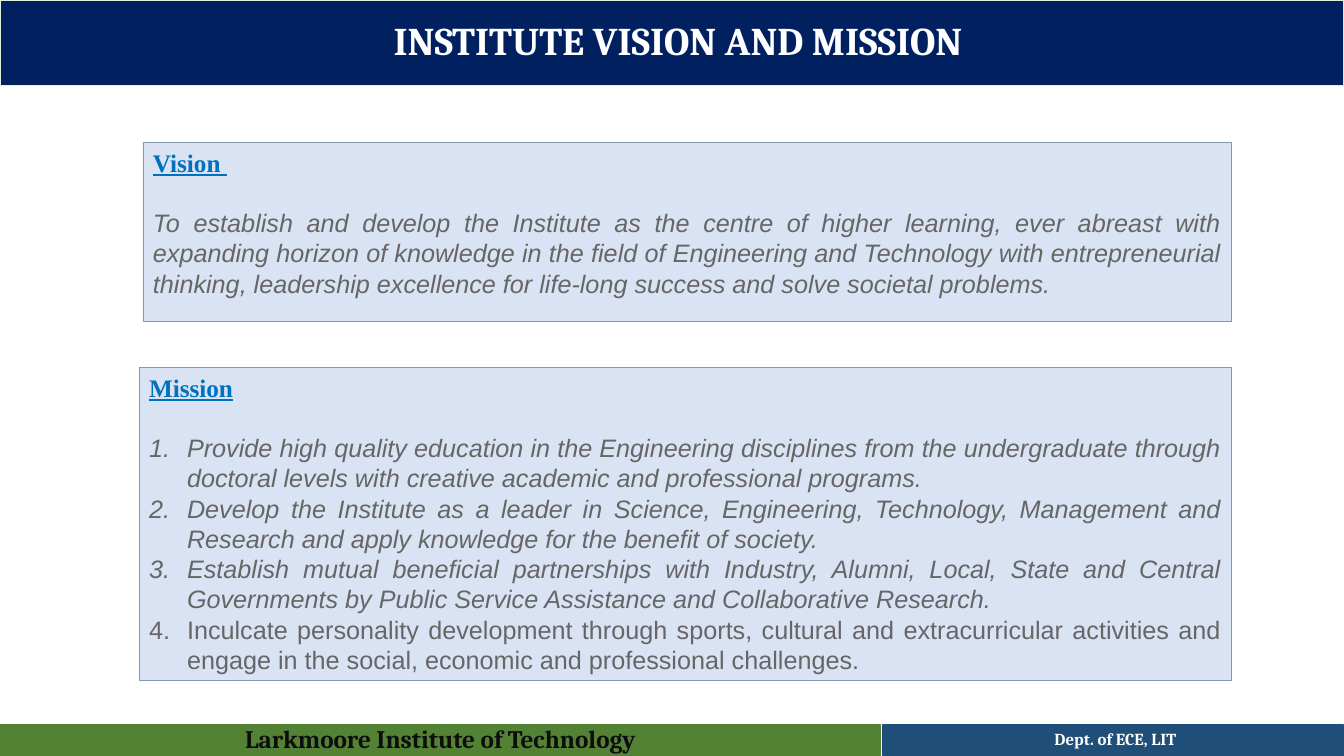
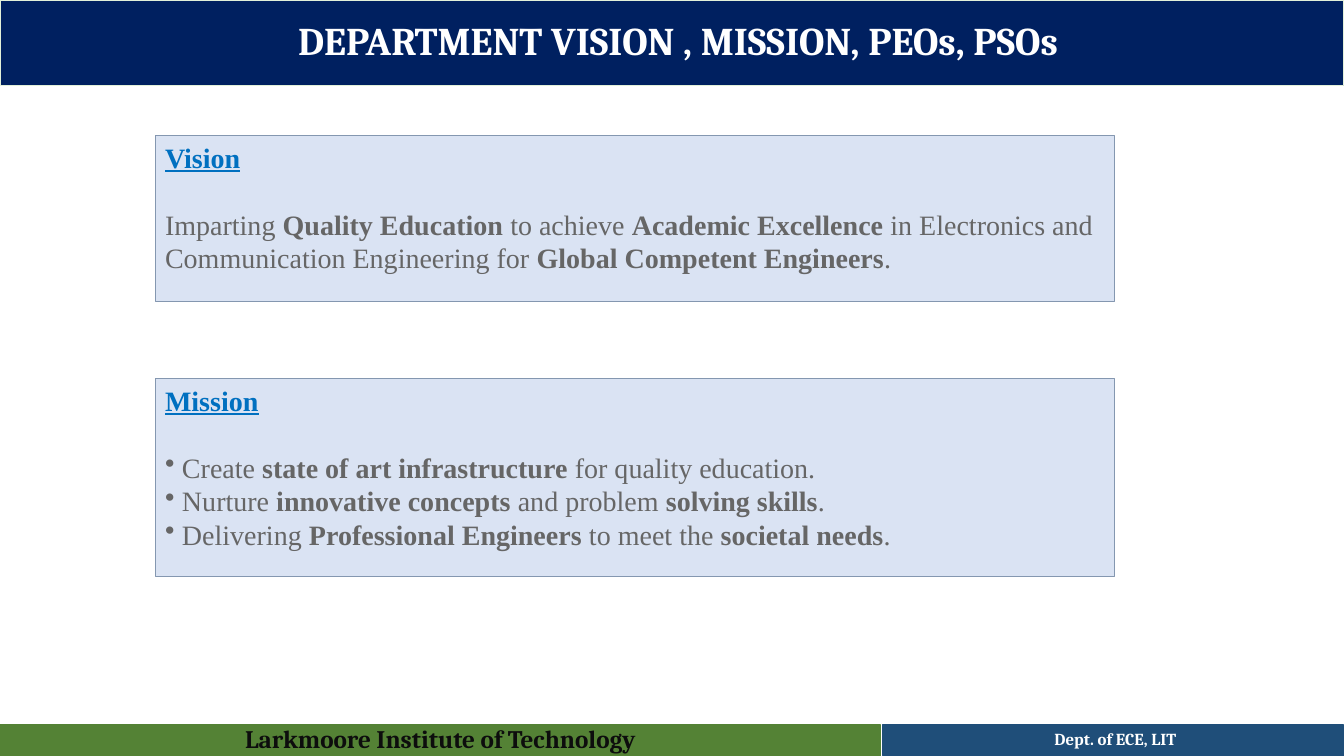
from lxml.etree import SubElement
from pptx import Presentation
from pptx.dml.color import RGBColor
from pptx.enum.shapes import MSO_SHAPE as Shape
from pptx.enum.text import MSO_ANCHOR as Anchor, PP_ALIGN as Align
from pptx.oxml.ns import qn
from pptx.util import Emu, Pt

WIDE, HIGH = 1344, 756
SCALE = 12192000 / WIDE
PAD = 10

NAVY, GREEN, STEEL = "002060", "548235", "1F4E79"
MINT, PALE, EDGE = "E2F0D9", "DAE3F3", "8497B0"
WHITE, INK, GREY, BLUE = "FFFFFF", "0D0D0D", "666666", "0070C0"
SERIF, SANS, HEAD = "Times New Roman", "Arial", "Cambria"

AIM = (
    "To establish and develop the Institute as the centre of higher learning, "
    "ever abreast with expanding horizon of knowledge in the ﬁeld of Engineering "
    "and Technology with entrepreneurial thinking, leadership excellence for "
    "life-long success and solve societal problems."
)
GOALS = [
    "Provide high quality education in the Engineering disciplines from the "
    "undergraduate through doctoral levels with creative academic and "
    "professional programs.",
    "Develop the Institute as a leader in Science, Engineering, Technology, "
    "Management and Research and apply knowledge for the beneﬁt of society.",
    "Establish mutual beneﬁcial partnerships with Industry, Alumni, Local, State "
    "and Central Governments by Public Service Assistance and Collaborative "
    "Research.",
]
LAST = (
    "Inculcate personality development through sports, cultural and "
    "extracurricular activities and engage in the social, economic and "
    "professional challenges."
)
DEPT_AIM = (
    "Imparting **Quality Education** to achieve **Academic Excellence** in "
    "Electronics and Communication Engineering for **Global Competent Engineers**."
)
DEPT_GOALS = [
    "Create **state of art infrastructure** for quality education.",
    "Nurture **innovative concepts** and problem **solving skills**.",
    "Delivering **Professional Engineers** to meet the **societal needs**.",
]


def px(num):
    return Emu(round(num * SCALE))


def rgb(code):
    return RGBColor.from_string(code)


def style(font, face, size, color, bold=False, italic=False):
    font.name, font.size = face, Pt(size)
    font.bold, font.italic = bold, italic
    font.color.rgb = rgb(color)


def add_box(slide, area, fill, line, width):
    box = slide.shapes.add_shape(Shape.RECTANGLE, *map(px, area))
    box.shadow.inherit = False
    box.fill.solid()
    box.fill.fore_color.rgb = rgb(fill)
    box.line.color.rgb = rgb(line)
    box.line.width = Pt(width)
    frame = box.text_frame
    frame.word_wrap = True
    frame.margin_left = frame.margin_right = px(PAD)
    frame.margin_top = frame.margin_bottom = px(5)
    return frame


def add_band(slide, area, fill, line, text, size, color, shift=0):
    """Draw a filled bar whose centred text moves right by half of shift."""
    frame = add_box(slide, area, fill, line, 0.75)
    frame.margin_left = px(PAD + shift)
    frame.vertical_anchor = Anchor.MIDDLE
    para = frame.paragraphs[0]
    para.text = text
    para.alignment = Align.CENTER
    para.line_spacing = 0.9
    style(para.font, HEAD, size, color, bold=True)


def add_mark(para, tag, key, value, indent):
    """Give the paragraph a hanging bullet or number."""
    props = para._p.get_or_add_pPr()
    props.set("marL", str(px(indent)))
    props.set("indent", str(-px(indent)))
    SubElement(props, qn(tag)).set(key, value)


def add_bullet(para):
    add_mark(para, "a:buChar", "char", "•", 17)


def add_number(para):
    add_mark(para, "a:buAutoNum", "type", "arabicPeriod", 38)


def add_runs(para, text):
    """Fill the paragraph; parts between ** marks are bold."""
    for pos, part in enumerate(text.split("**")):
        run = para.add_run()
        run.text = part
        if pos % 2:
            run.font.bold = True


def add_panel(slide, area, title, items, size, face, align, mark=None):
    """Draw a headed panel; items are pairs of text and italic."""
    frame = add_box(slide, area, PALE, EDGE, 0.25)
    frame.vertical_anchor = Anchor.TOP
    pitch = Pt(size * 1.2)
    head = frame.paragraphs[0]
    head.text = title
    head.alignment = align
    head.line_spacing = head.space_after = pitch
    style(head.font, SERIF, size, BLUE, bold=True)
    head.font.underline = True
    for text, italic in items:
        para = frame.add_paragraph()
        if mark:
            mark(para)
        para.alignment = align
        para.line_spacing = pitch
        style(para.font, face, size, GREY, italic=italic)
        add_runs(para, text)


def add_page(deck, title):
    slide = deck.slides.add_slide(deck.slide_layouts[6])
    foot, split = 725, 882
    add_band(slide, (0, foot, split - 1, HIGH - foot), GREEN, GREEN,
             "Larkmoore Institute of Technology", 18, INK)
    add_band(slide, (split + 1, foot, WIDE - split - 1, HIGH - foot), STEEL, STEEL,
             "Dept. of ECE, LIT", 12, WHITE, 4)
    add_band(slide, (0, 0, WIDE, 86), NAVY, MINT, title, 28, WHITE, 12)
    return slide


def main():
    deck = Presentation()
    deck.slide_width, deck.slide_height = px(WIDE), px(HIGH)

    slide = add_page(deck, "INSTITUTE VISION AND MISSION")
    look = (18, SANS, Align.JUSTIFY)
    add_panel(slide, (143, 142, 1088, 179), "Vision ", [(AIM, True)], *look)
    goals = [(goal, True) for goal in GOALS] + [(LAST, False)]
    add_panel(slide, (139, 367, 1092, 313), "Mission", goals, *look, add_number)

    slide = add_page(deck, "DEPARTMENT VISION , MISSION, PEOs, PSOs")
    look = (20, SERIF, Align.LEFT)
    add_panel(slide, (155, 135, 959, 166), "Vision", [(DEPT_AIM, False)], *look)
    goals = [(goal, False) for goal in DEPT_GOALS]
    add_panel(slide, (155, 378, 959, 198), "Mission", goals, *look, add_bullet)

    deck.save("out.pptx")


if __name__ == "__main__":
    main()
